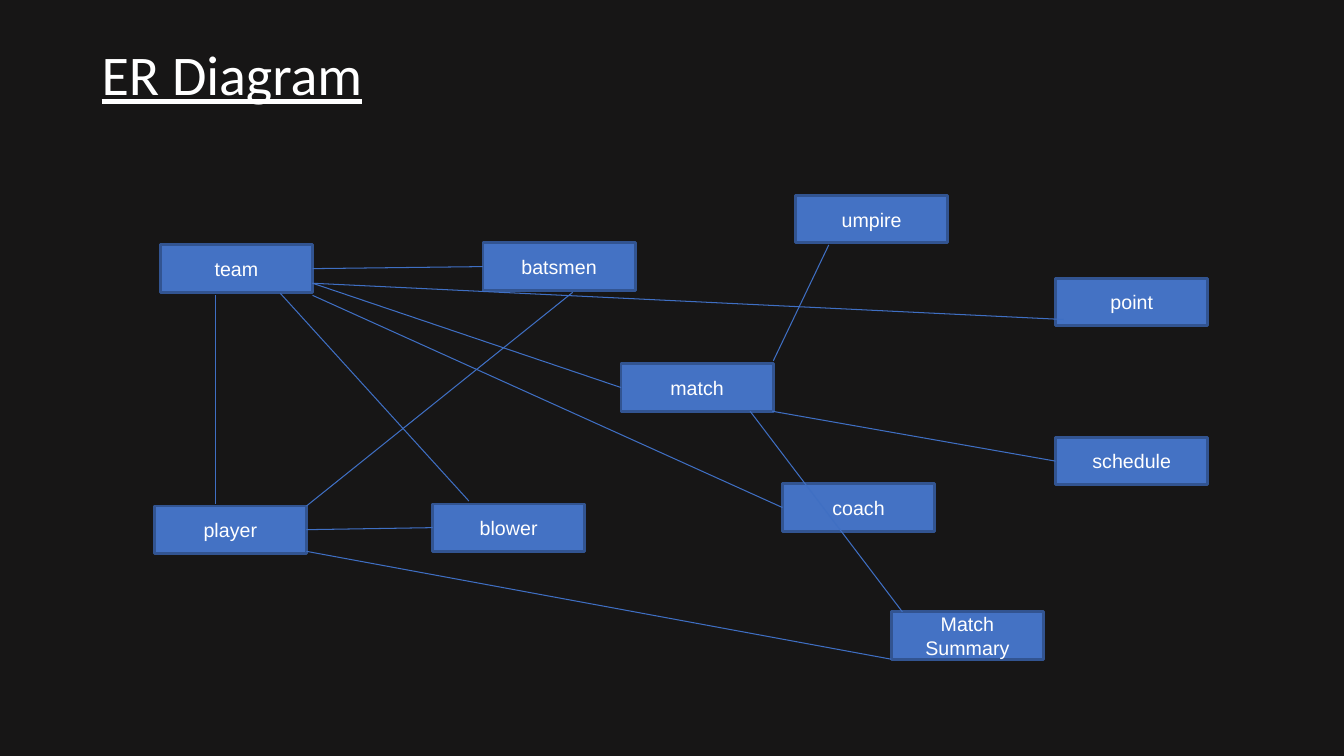
from pptx import Presentation
from pptx.dml.color import RGBColor
from pptx.enum import shapes, text
from pptx.util import Inches, Pt

COLORS = {"background": "171616", "entity": "4472C4", "border": "325491",
          "relation": "3F6FC3", "text": "FFFFFF"}

TITLE = "ER Diagram"
ENTITY_SIZE = (1.51, 0.47)
# Entity: left, top
ENTITIES = {
    "batsmen": (4.79, 2.41),
    "team": (1.59, 2.43),
    "coach": (7.76, 4.8),
    "Match Summary": (8.84, 6.07),
    "schedule": (10.47, 4.34),
    "player": (1.53, 5.02),
    "umpire": (7.89, 1.94),
    "blower": (4.29, 5),
    "match": (6.16, 3.61),
    "point": (10.47, 2.76),
}
# An end is a free point (x, y) or the side of an entity (name, side)
SIDES = {"left": 1, "right": 3}
RELATIONS = [
    ((2.14, 2.93), (2.14, 5)),
    ((3.1, 2.93), ("coach", "left")),
    (("team", "right"), ("batsmen", "left")),
    ((3.04, 5.02), (5.68, 2.9)),
    ((2.78, 2.91), (4.65, 4.97)),
    (("player", "right"), ("blower", "left")),
    ((8.22, 2.43), (7.67, 3.58)),
    ((7.66, 4.08), ("schedule", "left")),
    ((3.1, 2.81), ("match", "left")),
    ((3.1, 2.81), (10.55, 3.17)),
    ((7.44, 4.08), (8.95, 6.07)),
    ((3.04, 5.47), (8.84, 6.54)),
]


def color(name):
    return RGBColor.from_string(COLORS[name])


def write(shape, words, size, font, underline=None,
          align=text.PP_ALIGN.LEFT, anchor=text.MSO_ANCHOR.TOP):
    frame = shape.text_frame
    frame.word_wrap = True
    frame.vertical_anchor = anchor
    paragraph = frame.paragraphs[0]
    paragraph.alignment = align
    run = paragraph.add_run()
    run.text = words
    run.font.size = Pt(size)
    run.font.name = font
    run.font.underline = underline
    run.font.color.rgb = color("text")
    return paragraph


def is_side(end):
    return end[0] in ENTITIES


prs = Presentation()
prs.slide_width, prs.slide_height = Inches(13.33), Inches(7.5)
slide = prs.slides.add_slide(prs.slide_layouts[6])
slide.background.fill.solid()
slide.background.fill.fore_color.rgb = color("background")

# Title
title = slide.shapes.add_textbox(*map(Inches, (0.66, 0.42, 4.88, 1.18)))
heading = write(title, TITLE, size=40, font="Calibri", underline=True)
heading.line_spacing = 0.9
heading.space_before = Pt(10)
indents = heading._p.get_or_add_pPr()
indents.set("marL", str(Inches(0.5)))
indents.set("indent", str(Inches(-0.25)))

# Entities
boxes = {}
for entity, corner in ENTITIES.items():
    box = slide.shapes.add_shape(shapes.MSO_SHAPE.RECTANGLE,
                                 *map(Inches, corner + ENTITY_SIZE))
    box.shadow.inherit = False
    box.fill.solid()
    box.fill.fore_color.rgb = color("entity")
    box.line.color.rgb = color("border")
    box.line.width = Pt(2)
    write(box, entity, size=14, font="Arial", align=text.PP_ALIGN.CENTER,
          anchor=text.MSO_ANCHOR.MIDDLE)
    boxes[entity] = box

# Relations
for start, end in RELATIONS:
    points = [(0, 0) if is_side(e) else e for e in (start, end)]
    relation = slide.shapes.add_connector(
        shapes.MSO_CONNECTOR.STRAIGHT, *map(Inches, points[0] + points[1]))
    for place, connect in ((start, relation.begin_connect),
                           (end, relation.end_connect)):
        if is_side(place):
            connect(boxes[place[0]], SIDES[place[1]])
    relation.line.color.rgb = color("relation")
    relation.line.width = Pt(0.75)
    properties = relation._element.spPr
    properties.append(properties.makeelement(
        "{http://schemas.openxmlformats.org/drawingml/2006/main}effectLst", {}))

prs.save("out.pptx")
